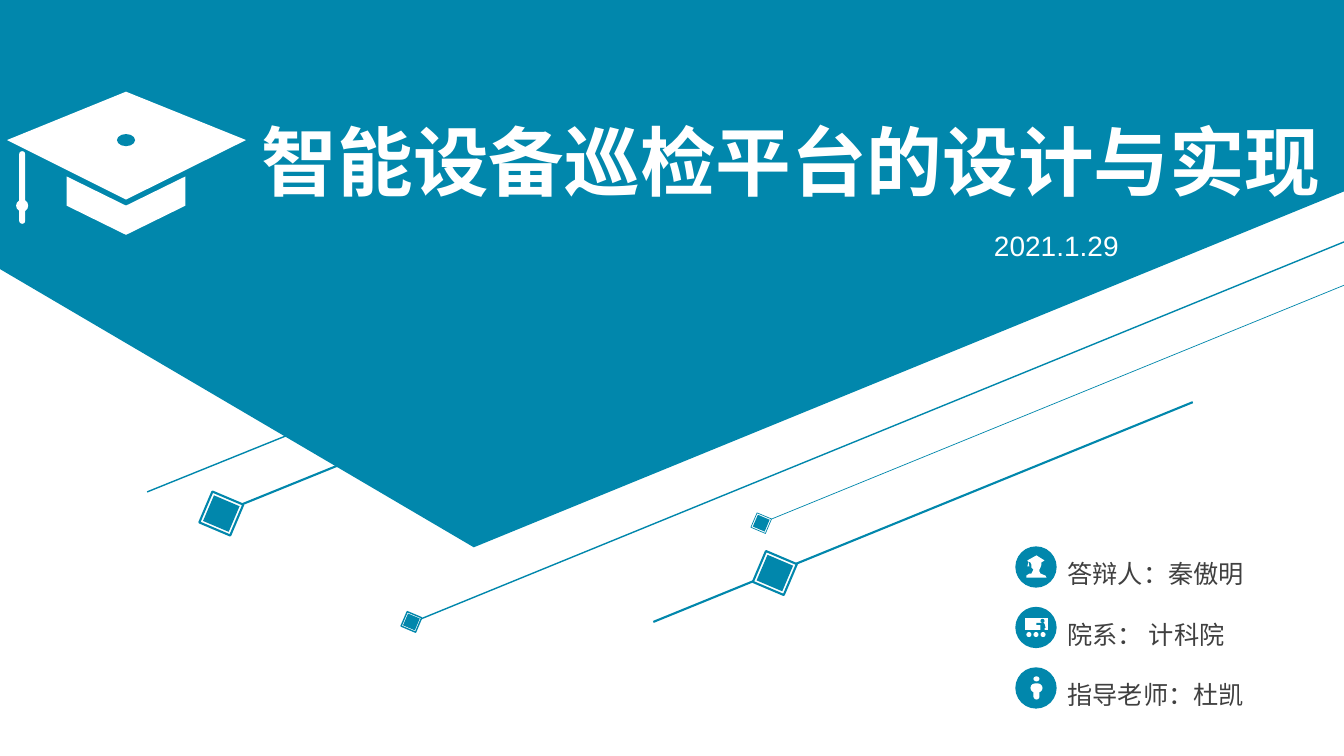
from lxml import etree
from pptx import Presentation
from pptx.dml.color import RGBColor
from pptx.enum.shapes import MSO_CONNECTOR, MSO_SHAPE
from pptx.enum.text import MSO_AUTO_SIZE
from pptx.oxml.ns import qn
from pptx.util import Inches, Pt

STRAIGHT = MSO_CONNECTOR.STRAIGHT
DIAMOND = MSO_SHAPE.DIAMOND
ELLIPSE = MSO_SHAPE.OVAL
ROUNDED = MSO_SHAPE.ROUNDED_RECTANGLE
FIT_SHAPE = MSO_AUTO_SIZE.SHAPE_TO_FIT_TEXT

COLORS = {"teal": "0187AC", "white": "FFFFFF", "gray": "404040"}
FONT = "Arial"
SLIDE_SIZE = (13.33, 7.5)

TITLE = "智能设备巡检平台的设计与实现"
DATE = "2021.1.29"
DETAILS = ["答辩人：秦傲明", "院系： 计科院", "指导老师：杜凯"]

BANNER = [(0, 0), (13.33, 0), (13.33, 1.9), (4.7, 5.43), (0, 2.67)]
LINES = [
    ((11.83, 3.99), (6.48, 6.17), 1.5),
    ((13.33, 2.4), (4.15, 6.15), 1),
    ((13.33, 2.83), (7.65, 5.15), 0.5),
    ((3.47, 4.57), (2.36, 5.02), 1.5),
    ((3.02, 4.25), (1.46, 4.88), 1),
]
MARKERS = [
    (7.45, 5.45, 0.47, 0.04, 1.5),
    (7.44, 5.08, 0.22, 0.02, 0.5),
    (3.97, 6.06, 0.22, 0.02, 1),
    (1.96, 4.86, 0.47, 0.04, 1.5),
]
MARKER_ROTATION = 68

CAP_POLYGONS = [
    [(0.66, 1.75), (1.25, 2.04), (1.84, 1.75), (1.84, 2.04), (1.25, 2.33), (0.66, 2.04)],
    [(1.25, 0.91), (2.44, 1.39), (1.25, 1.98), (0.07, 1.39)],
]
CAP_PARTS = [
    (ELLIPSE, (1.16, 1.33, 0.18, 0.12), "teal"),
    (ROUNDED, (0.19, 1.5, 0.06, 0.72), "white"),
    (ELLIPSE, (0.16, 1.98, 0.12, 0.12), "white"),
]

BADGE_LEFT, BADGE_TOP, BADGE_SIZE, BADGE_STEP = 10.07, 5.42, 0.41, 0.6
GRADUATE = [
    (10.18, 5.73), (10.18, 5.71), (10.21, 5.69), (10.23, 5.69), (10.24, 5.67),
    (10.25, 5.65), (10.23, 5.63), (10.23, 5.6), (10.22, 5.58), (10.2, 5.57),
    (10.21, 5.62), (10.19, 5.62), (10.2, 5.58), (10.19, 5.56), (10.28, 5.51),
    (10.36, 5.56), (10.33, 5.58), (10.33, 5.6), (10.32, 5.63), (10.31, 5.65),
    (10.31, 5.67), (10.32, 5.69), (10.37, 5.71), (10.38, 5.73),
]
BOARD = [(10.17, 6.13), (10.39, 6.13), (10.39, 6.25), (10.17, 6.25)]
LECTURER = [
    (10.36, 6.25), (10.36, 6.23), (10.37, 6.23), (10.36, 6.19), (10.35, 6.18),
    (10.28, 6.18), (10.28, 6.2), (10.32, 6.2), (10.32, 6.25),
]
ICON_POLYGONS = [(GRADUATE, "white"), (BOARD, "white"), (LECTURER, "teal")]
ICON_PARTS = [
    (ELLIPSE, (10.32, 6.14, 0.04, 0.04), "teal"),
    (ELLIPSE, (10.18, 6.27, 0.05, 0.05), "white"),
    (ELLIPSE, (10.25, 6.27, 0.05, 0.05), "white"),
    (ELLIPSE, (10.32, 6.27, 0.05, 0.05), "white"),
    (ELLIPSE, (10.25, 6.71, 0.06, 0.05), "white"),
    (ROUNDED, (10.22, 6.78, 0.12, 0.09), "white"),
    (ROUNDED, (10.25, 6.8, 0.06, 0.14), "white"),
]


def rgb(name):
    return RGBColor.from_string(COLORS[name])


def paint(shape, fill, line_width=None):
    shape.shadow.inherit = False
    shape.fill.solid()
    shape.fill.fore_color.rgb = rgb(fill)
    if line_width is None:
        shape.line.fill.background()
    else:
        shape.line.color.rgb = rgb("teal")
        shape.line.width = Pt(line_width)


def add_preset(shapes, preset, box, fill, line_width=None, rotation=0):
    shape = shapes.add_shape(preset, *map(Inches, box))
    paint(shape, fill, line_width)
    shape.rotation = rotation
    if preset == ROUNDED:
        shape.adjustments[0] = 0.5


def add_polygon(shapes, points, fill):
    start, *others = [(Inches(x), Inches(y)) for x, y in points]
    builder = shapes.build_freeform(*start)
    builder.add_line_segments(others)
    paint(builder.convert_to_shape(), fill)


def add_line(shapes, start, end, width):
    connector = shapes.add_connector(STRAIGHT, *map(Inches, start + end))
    connector.line.color.rgb = rgb("teal")
    connector.line.width = Pt(width)
    etree.SubElement(connector._element.spPr, qn("a:effectLst"))


def add_marker(shapes, left, top, size, inset, line_width):
    group = shapes.add_group_shape()
    inner = (left + inset, top + inset, size - 2 * inset, size - 2 * inset)
    add_preset(group.shapes, DIAMOND, (left, top, size, size), "white", line_width, MARKER_ROTATION)
    add_preset(group.shapes, DIAMOND, inner, "teal", rotation=MARKER_ROTATION)


def add_text(shapes, lines, box, size, color, bold=False, spacing=None):
    frame = shapes.add_textbox(*map(Inches, box)).text_frame
    frame.word_wrap = False
    frame.auto_size = FIT_SHAPE
    for index, line in enumerate(lines):
        paragraph = frame.add_paragraph() if index else frame.paragraphs[0]
        paragraph.line_spacing = spacing
        run = paragraph.add_run()
        run.text = line
        run.font.name = FONT
        run.font.size = Pt(size)
        run.font.bold = bold
        run.font.color.rgb = rgb(color)


def main():
    presentation = Presentation()
    presentation.slide_width, presentation.slide_height = map(Inches, SLIDE_SIZE)
    slide = presentation.slides.add_slide(presentation.slide_layouts[6])
    shapes = slide.shapes

    add_polygon(shapes, BANNER, "teal")
    for start, end, width in LINES:
        add_line(shapes, start, end, width)
    for marker in MARKERS:
        add_marker(shapes, *marker)

    cap = shapes.add_group_shape().shapes
    for points in CAP_POLYGONS:
        add_polygon(cap, points, "white")
    for preset, box, fill in CAP_PARTS:
        add_preset(cap, preset, box, fill)

    for index in range(len(DETAILS)):
        top = BADGE_TOP + index * BADGE_STEP
        add_preset(shapes, ELLIPSE, (BADGE_LEFT, top, BADGE_SIZE, BADGE_SIZE), "teal")
    for points, fill in ICON_POLYGONS:
        add_polygon(shapes, points, fill)
    for preset, box, fill in ICON_PARTS:
        add_preset(shapes, preset, box, fill)

    add_text(shapes, [TITLE], (2.5, 1.09, 10.8, 1.01), 54, "white", bold=True)
    add_text(shapes, DETAILS, (10.49, 5.19, 1.97, 1.83), 18, "gray", spacing=2.0)
    add_text(shapes, [DATE], (9.76, 2.22, 1.45, 0.44), 20, "white")
    presentation.save("out.pptx")


if __name__ == "__main__":
    main()
